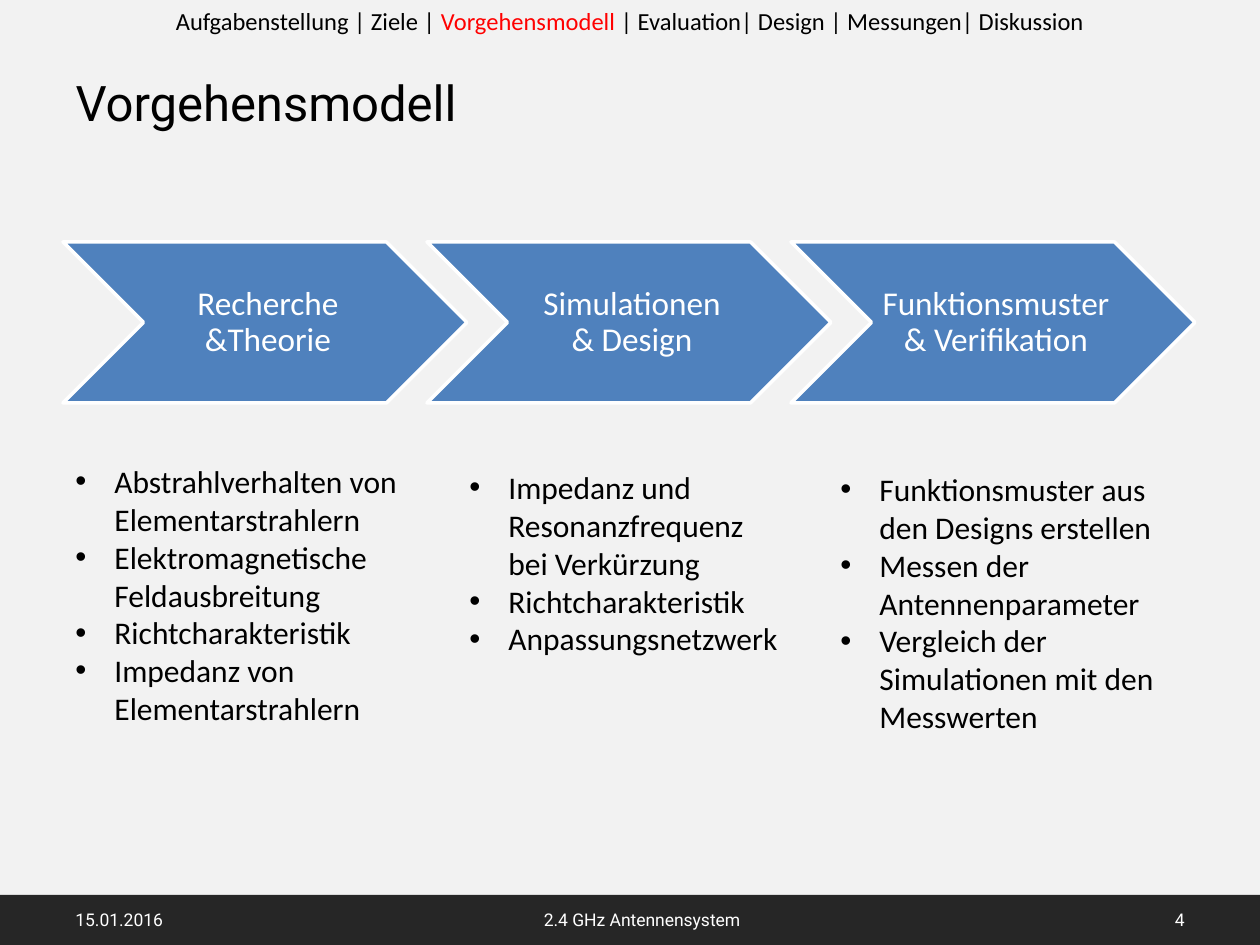
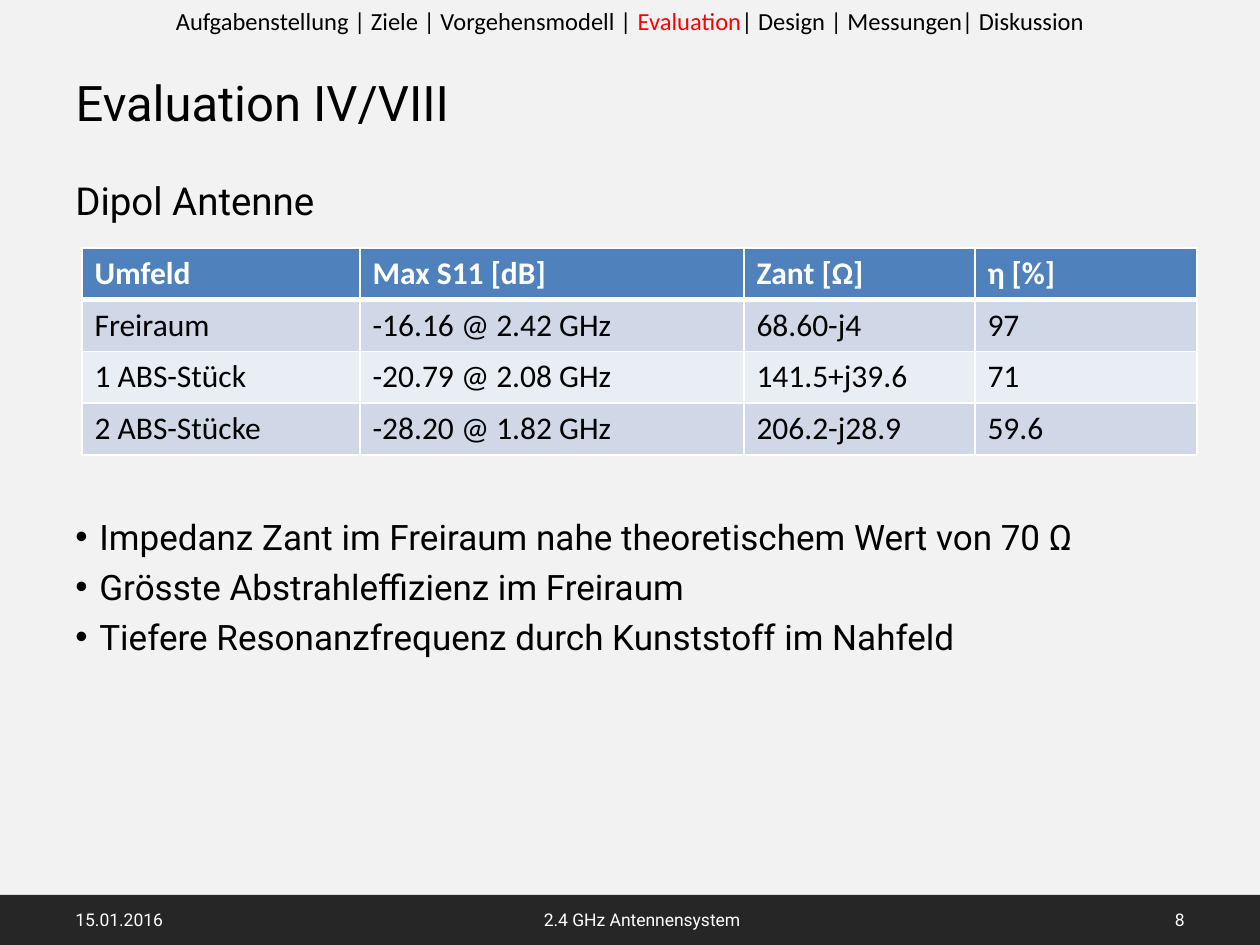
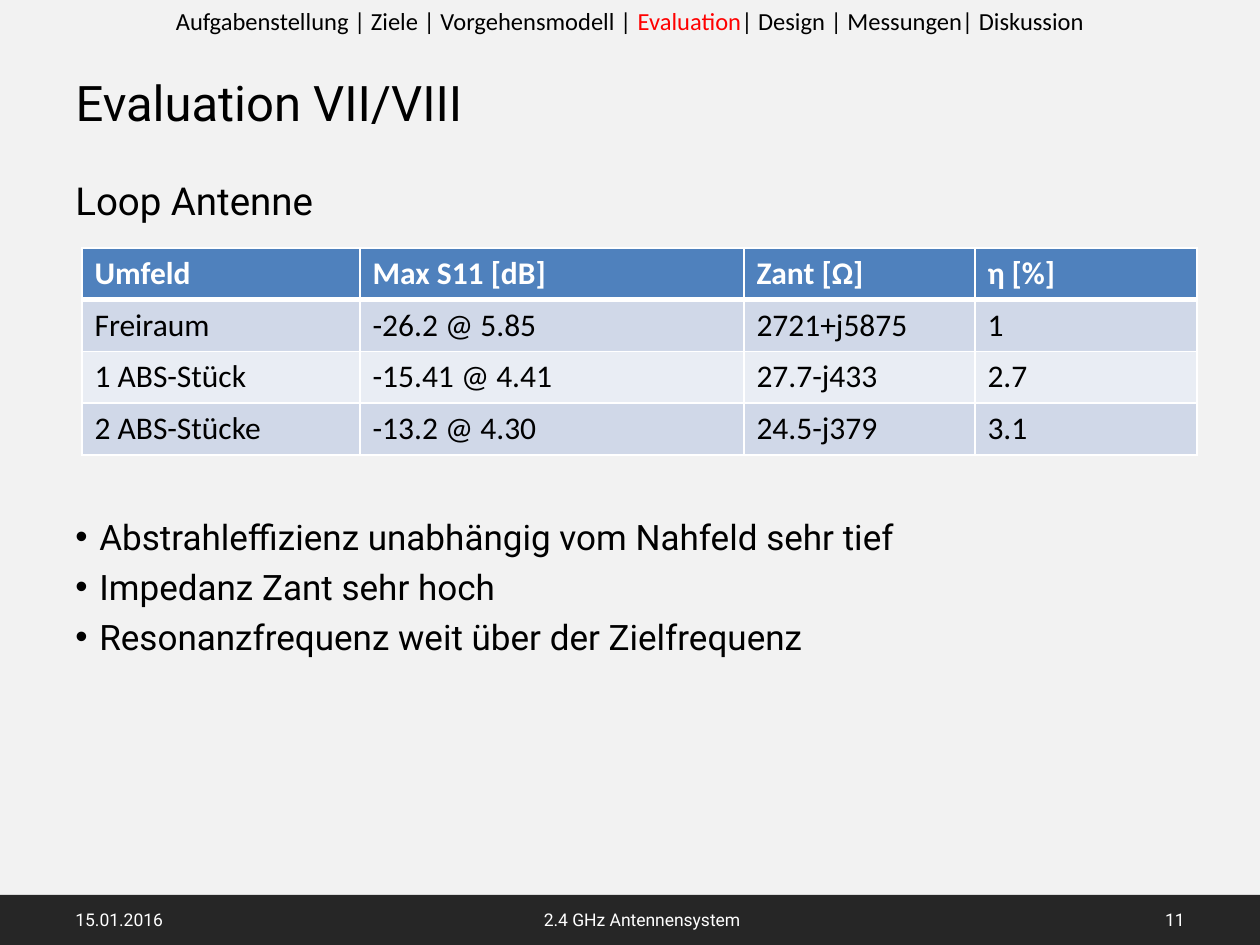
from lxml import etree
from pptx import Presentation
from pptx.dml.color import RGBColor
from pptx.enum.shapes import MSO_SHAPE
from pptx.enum.text import MSO_ANCHOR, MSO_AUTO_SIZE, PP_ALIGN
from pptx.oxml.ns import qn
from pptx.util import Pt

RECTANGLE, CHEVRON = MSO_SHAPE.RECTANGLE, MSO_SHAPE.CHEVRON
TOP, MIDDLE = MSO_ANCHOR.TOP, MSO_ANCHOR.MIDDLE
LEFT, CENTER, RIGHT = PP_ALIGN.LEFT, PP_ALIGN.CENTER, PP_ALIGN.RIGHT
NO_AUTOSIZE = MSO_AUTO_SIZE.NONE

EMU_PER_PX = 914400 / 126
PAGE_WIDTH, PAGE_HEIGHT = 1260, 945
TITLE_ONLY = 5
HEADING_FONT, TEXT_FONT = "Roboto", "Calibri"
COLOURS = {
    "page": "F2F2F2", "band": "262626", "accent": "4F81BD", "active": "FF0000",
    "text": "000000", "light": "FFFFFF", "odd_row": "D0D8E8", "even_row": "E9EDF4",
}

SECTIONS = "Aufgabenstellung | Ziele | Vorgehensmodell | Evaluation| Design | Messungen| Diskussion"
DATE, PROJECT = "15.01.2016", "2.4 GHz Antennensystem"

PHASES = ["Recherche &Theorie", "Simulationen\v& Design", "Funktionsmuster & Verifikation"]
PHASE_TASKS = [
    ((63, 456, 348, 280), [
        "Abstrahlverhalten von Elementarstrahlern", "Elektromagnetische Feldausbreitung",
        "Richtcharakteristik", "Impedanz von Elementarstrahlern"]),
    ((457, 462, 348, 242), [
        "Impedanz und Resonanzfrequenz\vbei Verkürzung", "Richtcharakteristik",
        "Anpassungsnetzwerk"]),
    ((828, 464, 348, 280), [
        "Funktionsmuster aus den Designs erstellen", "Messen der Antennenparameter",
        "Vergleich der Simulationen mit den Messwerten"]),
]

TABLE_HEADER = ["Umfeld", "Max S11 [dB]", "Zant [Ω]", "η [%]"]
COLUMN_WIDTHS = [278, 384, 231, 222]
EVALUATIONS = [
    {
        "title": "Evaluation IV/VIII", "number": 8, "antenna": "Dipol Antenne",
        "rows": [
            ["Freiraum", "-16.16 @ 2.42 GHz", "68.60-j4", "97"],
            ["1 ABS-Stück", "-20.79 @ 2.08 GHz", "141.5+j39.6", "71"],
            ["2 ABS-Stücke", "-28.20 @ 1.82 GHz", "206.2-j28.9", "59.6"]],
        "findings": [
            "Impedanz Zant im Freiraum nahe theoretischem Wert von 70 Ω",
            "Grösste Abstrahleffizienz im Freiraum",
            "Tiefere Resonanzfrequenz durch Kunststoff im Nahfeld"],
    },
    {
        "title": "Evaluation VII/VIII", "number": 11, "antenna": "Loop Antenne",
        "rows": [
            ["Freiraum", "-26.2 @ 5.85", "2721+j5875", "1"],
            ["1 ABS-Stück", "-15.41 @ 4.41", "27.7-j433", "2.7"],
            ["2 ABS-Stücke", "-13.2 @ 4.30", "24.5-j379", "3.1"]],
        "findings": [
            "Abstrahleffizienz unabhängig vom Nahfeld sehr tief",
            "Impedanz Zant sehr hoch",
            "Resonanzfrequenz weit über der Zielfrequenz"],
    },
]


def px(length):
    return round(length * EMU_PER_PX)


def emu(box):
    return [px(length) for length in box]


def colour(name):
    return RGBColor.from_string(COLOURS[name])


def assign(target, **values):
    for name, value in values.items():
        setattr(target, name, value)


def paint(target, name):
    target.fill.solid()
    target.fill.fore_color.rgb = colour(name)


def format_span(span, size, font, colour_name="text", bold=False):
    assign(span.font, size=Pt(size), name=font, bold=bold)
    span.font.color.rgb = colour(colour_name)


def write(para, text, size, font, colour_name="text", bold=False, **layout):
    para.text = text
    assign(para, **layout)
    for span in para.runs:
        format_span(span, size, font, colour_name, bold)


def add_text_frame(page, box, anchor=TOP):
    frame = page.shapes.add_textbox(*emu(box)).text_frame
    assign(frame, word_wrap=True, vertical_anchor=anchor)
    return frame


def add_bullet(para, indent):
    properties = para._p.get_or_add_pPr()
    properties.set("marL", str(px(indent)))
    properties.set("indent", str(-px(indent)))
    etree.SubElement(properties, qn("a:buFont")).set("typeface", "Arial")
    etree.SubElement(properties, qn("a:buChar")).set("char", "•")


def add_bullet_list(page, box, items, size, font, indent, gap=0):
    frame = add_text_frame(page, box)
    for index, item in enumerate(items):
        para = frame.add_paragraph() if index else frame.paragraphs[0]
        add_bullet(para, indent)
        write(para, item, size, font, space_before=Pt(gap if index else 0))


def add_navigation(page, box, section):
    para = add_text_frame(page, box).paragraphs[0]
    para.alignment = CENTER
    before, active, after = SECTIONS.partition(section)
    for text, name in ((before, "text"), (active, "active"), (after, "text")):
        span = para.add_run()
        span.text = text
        format_span(span, 14, TEXT_FONT, name)


def add_footer(page, box, number):
    left, top, width, height = box
    band = page.shapes.add_shape(RECTANGLE, *emu(box))
    band.shadow.inherit = False
    paint(band, "band")
    band.line.fill.background()
    entries = [
        (63, 294, DATE, LEFT),
        (431, 422, PROJECT, CENTER),
        (width - 63 - 294, 294, str(number), RIGHT),
    ]
    for offset, entry_width, text, alignment in entries:
        frame = add_text_frame(page, (left + offset, top, entry_width, height), MIDDLE)
        write(frame.paragraphs[0], text, 10, HEADING_FONT, "light", alignment=alignment)


def add_page(deck, title, section, number):
    page = deck.slides.add_slide(deck.slide_layouts[TITLE_ONLY])
    heading = page.shapes.title
    left, top, width, height = emu((63, 66, 1134, 73))
    assign(heading, left=left, top=top, width=width, height=height)
    assign(heading.text_frame, vertical_anchor=TOP, auto_size=NO_AUTOSIZE, word_wrap=True)
    write(heading.text_frame.paragraphs[0], title, 28, HEADING_FONT, alignment=LEFT)
    add_navigation(page, (0, 0, PAGE_WIDTH, 43), section)
    add_footer(page, (0, 895, PAGE_WIDTH, 50), number)
    return page


def add_phases(page, box, phases):
    left, top, width, height = box
    arrow_width = 404
    pitch = (width - arrow_width) / (len(phases) - 1)
    for index, phase in enumerate(phases):
        arrow_box = (left + index * pitch, top, arrow_width, height)
        arrow = page.shapes.add_shape(CHEVRON, *emu(arrow_box))
        arrow.shadow.inherit = False
        paint(arrow, "accent")
        arrow.line.color.rgb = colour("light")
        arrow.line.width = Pt(2)
        frame = arrow.text_frame
        assign(frame, word_wrap=True, vertical_anchor=MIDDLE, margin_left=px(10),
               margin_top=px(4), margin_right=px(4), margin_bottom=px(4))
        write(frame.paragraphs[0], phase, 19, TEXT_FONT, "light",
              alignment=CENTER, line_spacing=0.9)


def add_borders(cell, widths):
    properties = cell._tc.get_or_add_tcPr()
    for side, width in widths.items():
        line = etree.SubElement(properties, qn(f"a:ln{side}"), w=str(Pt(width)))
        fill = etree.SubElement(line, qn("a:solidFill"))
        etree.SubElement(fill, qn("a:srgbClr"), val=COLOURS["light"])


def add_results(page, box, rows):
    grid = page.shapes.add_table(len(rows), len(COLUMN_WIDTHS), *emu(box)).table
    for column, width in zip(grid.columns, COLUMN_WIDTHS):
        column.width = px(width)
    for row_index, row in enumerate(rows):
        header = row_index == 0
        fill = "accent" if header else "odd_row" if row_index % 2 else "even_row"
        widths = {"L": 1, "R": 1, "T": 3 if row_index == 1 else 1, "B": 3 if header else 1}
        for column_index, value in enumerate(row):
            cell = grid.cell(row_index, column_index)
            add_borders(cell, widths)
            paint(cell, fill)
            write(cell.text_frame.paragraphs[0], value, 18, TEXT_FONT,
                  "light" if header else "text", header)


def build_process_page(deck):
    page = add_page(deck, "Vorgehensmodell", "Vorgehensmodell", 4)
    add_phases(page, (63, 242, 1132, 161), PHASES)
    for box, tasks in PHASE_TASKS:
        add_bullet_list(page, box, tasks, 18, TEXT_FONT, 39)


def build_evaluation_page(deck, evaluation):
    page = add_page(deck, evaluation["title"], "Evaluation", evaluation["number"])
    subtitle = add_text_frame(page, (63, 171, 1134, 60))
    write(subtitle.paragraphs[0], evaluation["antenna"], 22, HEADING_FONT)
    add_results(page, (82, 248, sum(COLUMN_WIDTHS), 207), [TABLE_HEADER, *evaluation["rows"]])
    add_bullet_list(page, (63, 509, 1134, 160), evaluation["findings"],
                    20, HEADING_FONT, 24, 4.6)


def main():
    deck = Presentation()
    deck.slide_width, deck.slide_height = px(PAGE_WIDTH), px(PAGE_HEIGHT)
    background = deck.slide_master.background
    paint(background, "page")
    build_process_page(deck)
    for evaluation in EVALUATIONS:
        build_evaluation_page(deck, evaluation)
    deck.save("out.pptx")


if __name__ == "__main__":
    main()
